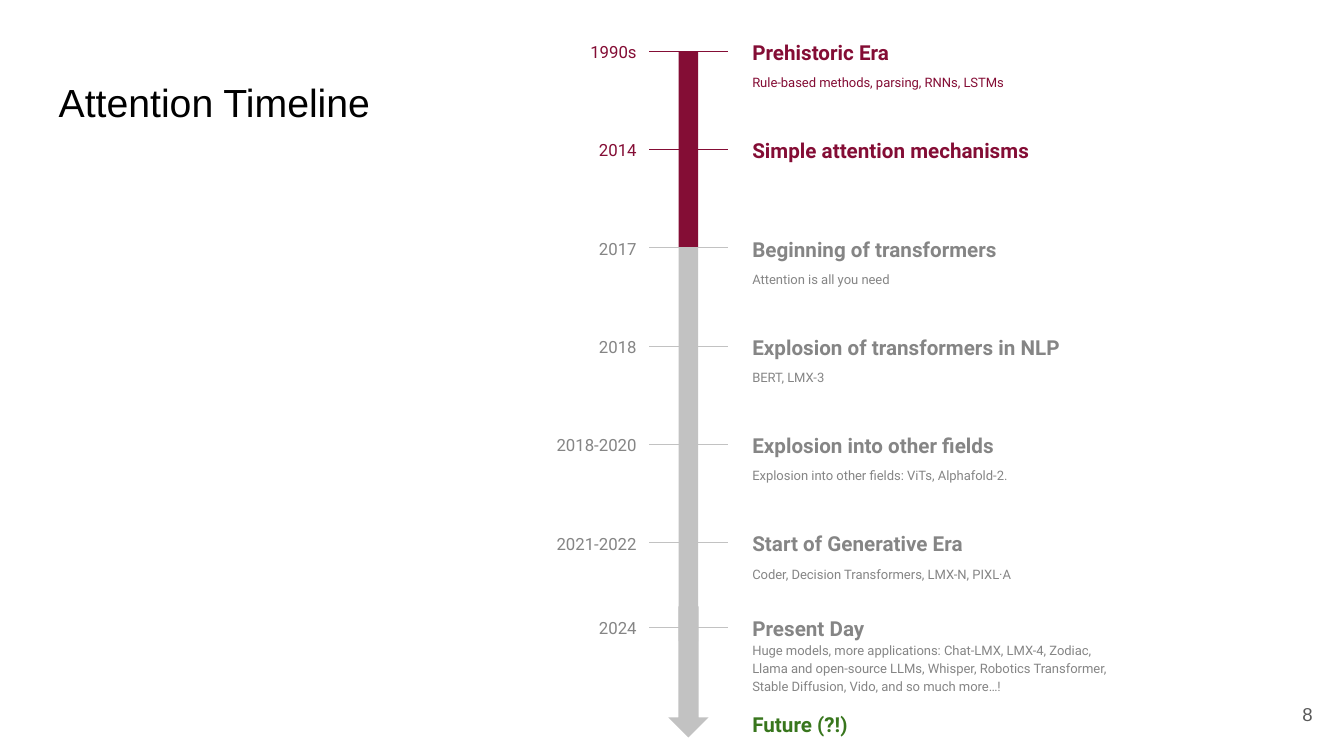
"""Builds the attention timeline slide."""
from dataclasses import dataclass

from lxml.etree import SubElement
from pptx import Presentation
from pptx.dml.color import RGBColor
from pptx.enum.shapes import MSO_CONNECTOR, MSO_SHAPE
from pptx.enum.text import MSO_ANCHOR, PP_ALIGN
from pptx.oxml.ns import qn
from pptx.util import Inches, Pt

WIDTH, HEIGHT = 13.33, 7.5
FIRST_ROW, ROW_PITCH = 6.8, 13
BAR_LEFT, BAR_WIDTH = 50.5, 1.45
TICK_LEFT, TICK_RIGHT = 48.3, 54.15
EVENT_LEFT, EVENT_WIDTH = 55, 29.85


@dataclass(frozen=True)
class Theme:
    """Holds the colours and text styles."""
    past: str = "840D35"
    muted: str = "858585"
    track: str = "C2C2C2"
    title: tuple = ("Arial", 28, False)
    heading: tuple = ("Roboto", 14.7, True)
    detail: tuple = ("Roboto", 9.3, False)
    year: tuple = ("Roboto", 12, False)
    number: tuple = ("Arial", 13.3, False)
    ink: str = "000000"
    future: str = "38761D"
    number_color: str = "595959"


THEME = Theme()

STOPS = [
    (0, "1990s", "Prehistoric Era", "Rule-based methods, parsing, RNNs, LSTMs"),
    (1, "2014", "Simple attention mechanisms", ""),
    (2, "2017", "Beginning of transformers", "Attention is all you need"),
    (3, "2018", "Explosion of transformers in NLP", "BERT, LMX-3"),
    (4, "2018-2020", "Explosion into other fields",
     "Explosion into other fields: ViTs, Alphafold-2."),
    (5, "2021-2022", "Start of Generative Era",
     "Coder, Decision Transformers, LMX-N, PIXL·A"),
    (5.86, "2024", "Present Day",
     "Huge models, more applications: Chat-LMX, LMX-4, Zodiac, "
     "Llama and open-source LLMs, Whisper, Robotics Transformer, "
     "Stable Diffusion, Vido, and so much more…!"),
]


def across(share):
    """Return a horizontal length from a percentage of the slide width."""
    return Inches(WIDTH * share / 100)


def down(share):
    """Return a vertical length from a percentage of the slide height."""
    return Inches(HEIGHT * share / 100)


def place(left, top, width, height):
    """Return a frame given in shares of the slide."""
    return across(left), down(top), across(width), down(height)


def apply(target, values):
    """Set each named attribute on the target."""
    for name, value in values.items():
        setattr(target, name, value)


def add_text(page, frame, text, style, color, spacing=1.15,
             align=PP_ALIGN.LEFT, anchor=MSO_ANCHOR.TOP):
    """Add a wrapped text box holding one paragraph."""
    box = page.shapes.add_textbox(*place(*frame)).text_frame
    margins = {f"margin_{side}": Inches(0.13)
               for side in ("left", "top", "right", "bottom")}
    apply(box, {"word_wrap": True, "vertical_anchor": anchor, **margins})
    para = box.paragraphs[0]
    apply(para, {"alignment": align, "line_spacing": spacing})
    span = para.add_run()
    span.text = text
    family, size, bold = style
    apply(span.font, {"name": family, "size": Pt(size), "bold": bold})
    span.font.color.rgb = RGBColor.from_string(color)


def add_solid(page, kind, frame, color):
    """Add a filled shape without an outline."""
    shape = page.shapes.add_shape(kind, *place(*frame))
    shape.shadow.inherit = False
    shape.fill.solid()
    shape.fill.fore_color.rgb = RGBColor.from_string(color)
    shape.line.fill.background()


def add_tick(page, top, color):
    """Add a horizontal tick across the track."""
    tick = page.shapes.add_connector(
        MSO_CONNECTOR.STRAIGHT, across(TICK_RIGHT), down(top),
        across(TICK_LEFT), down(top))
    tick.line.color.rgb = RGBColor.from_string(color)
    tick.line.width = Pt(0.75)
    SubElement(tick._element.spPr, qn("a:effectLst"))


def add_heading(page, top, text, color):
    """Add the bold name of an event."""
    add_text(page, (EVENT_LEFT, top, EVENT_WIDTH, 5.33), text,
             THEME.heading, color)


def add_stop(page, row, year, heading, detail):
    """Add one dated stop with its stretch of track."""
    top = FIRST_ROW + row * ROW_PITCH
    is_past = row < 2
    is_last = row == STOPS[-1][0]
    color = THEME.past if is_past else THEME.muted
    track = THEME.past if is_past else THEME.track
    add_heading(page, top - 3.75, heading, color)
    if detail:
        detail_top = top if is_last else top + 1.6
        add_text(page, (EVENT_LEFT, detail_top, EVENT_WIDTH, 8), detail,
                 THEME.detail, color)
    add_text(page, (40.05, top - 3.2, 8.3, 6.8), year, THEME.year, color,
             align=PP_ALIGN.RIGHT)
    if not is_last:
        add_solid(page, MSO_SHAPE.RECTANGLE,
                  (BAR_LEFT, top, BAR_WIDTH, ROW_PITCH), track)
    add_tick(page, top, track)


def main():
    """Build and save the slide."""
    deck = Presentation()
    apply(deck, {"slide_width": Inches(WIDTH), "slide_height": Inches(HEIGHT)})
    page = deck.slides.add_slide(deck.slide_layouts[6])
    add_text(page, (3.4, 8.67, 93.2, 11.2), "Attention Timeline",
             THEME.title, THEME.ink, spacing=1)
    for stop in STOPS:
        add_stop(page, *stop)
    add_solid(page, MSO_SHAPE.DOWN_ARROW,
              (BAR_LEFT + BAR_WIDTH / 2 - 1.5, 80.2, 3, 17.35), THEME.track)
    add_heading(page, 91.9, "Future (?!)", THEME.future)
    add_text(page, (92.65, 90.7, 6, 7.6), "8", THEME.number,
             THEME.number_color, spacing=1, align=PP_ALIGN.RIGHT,
             anchor=MSO_ANCHOR.MIDDLE)
    deck.save("out.pptx")


if __name__ == "__main__":
    main()
